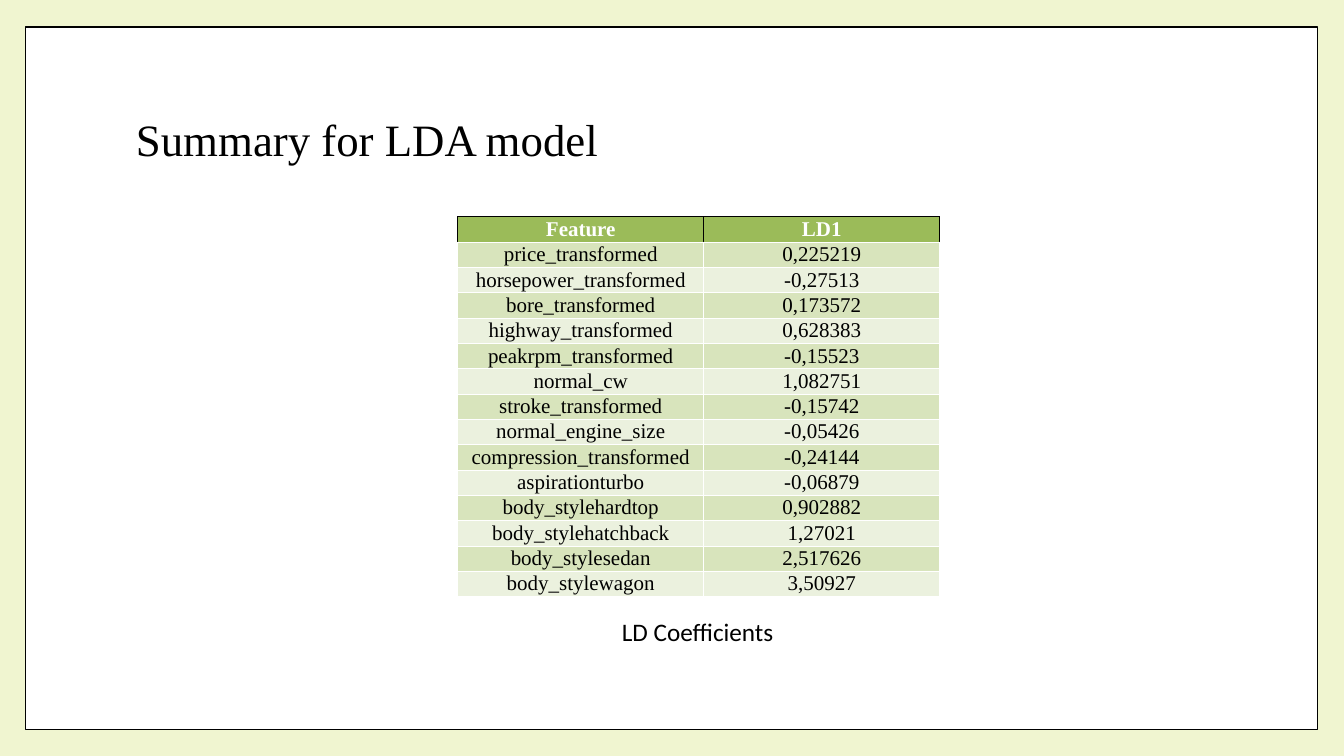
from lxml.etree import SubElement
from pptx import Presentation
from pptx.dml.color import RGBColor
from pptx.enum.shapes import MSO_SHAPE
from pptx.enum.text import MSO_ANCHOR, MSO_AUTO_SIZE, PP_ALIGN
from pptx.oxml.ns import qn
from pptx.util import Inches, Pt

COLORS = {
    "background": "F0F5D0",
    "white": "FFFFFF",
    "black": "000000",
    "header": "9BBB59",
    "odd_row": "D8E4BC",
    "even_row": "EBF1DE",
}
SERIF = "Times New Roman"
SANS = "Calibri"

COEFFICIENTS = [
    ("Feature", "LD1"),
    ("price_transformed", "0,225219"),
    ("horsepower_transformed", "-0,27513"),
    ("bore_transformed", "0,173572"),
    ("highway_transformed", "0,628383"),
    ("peakrpm_transformed", "-0,15523"),
    ("normal_cw", "1,082751"),
    ("stroke_transformed", "-0,15742"),
    ("normal_engine_size", "-0,05426"),
    ("compression_transformed", "-0,24144"),
    ("aspirationturbo", "-0,06879"),
    ("body_stylehardtop", "0,902882"),
    ("body_stylehatchback", "1,27021"),
    ("body_stylesedan", "2,517626"),
    ("body_stylewagon", "3,50927"),
]


def color(name):
    return RGBColor.from_string(COLORS[name])


def add_run(paragraph, text, size, font_name, color_name="black", bold=False):
    run = paragraph.add_run()
    run.text = text
    run.font.size = Pt(size)
    run.font.name = font_name
    run.font.bold = bold
    run.font.color.rgb = color(color_name)


def add_frame(slide):
    frame = slide.shapes.add_shape(
        MSO_SHAPE.RECTANGLE, Inches(0.25), Inches(0.27), Inches(12.82), Inches(6.97))
    frame.shadow.inherit = False
    frame.fill.solid()
    frame.fill.fore_color.rgb = color("white")
    frame.line.color.rgb = color("black")
    frame.line.width = Pt(1)


def add_text(slide, text, left, top, width, height, size, font_name):
    box = slide.shapes.add_textbox(
        Inches(left), Inches(top), Inches(width), Inches(height))
    box.text_frame.word_wrap = True
    add_run(box.text_frame.paragraphs[0], text, size, font_name)
    return box.text_frame


def set_border(cell, side, color_name):
    line = SubElement(cell._tc.get_or_add_tcPr(), qn(f"a:ln{side}"), w=str(Pt(0.5)))
    fill = SubElement(line, qn("a:solidFill"))
    SubElement(fill, qn("a:srgbClr"), val=COLORS[color_name])


def style_cell(cell, text, fill_name, is_header):
    # Borders come before the fill in the cell properties
    for side in "LRTB":
        set_border(cell, side, "black" if is_header and side != "B" else "white")
    cell.fill.solid()
    cell.fill.fore_color.rgb = color(fill_name)
    cell.margin_left = cell.margin_right = cell.margin_top = cell.margin_bottom = 0
    cell.vertical_anchor = MSO_ANCHOR.MIDDLE
    paragraph = cell.text_frame.paragraphs[0]
    paragraph.alignment = PP_ALIGN.CENTER
    add_run(paragraph, text, 15, SERIF, "white" if is_header else "black", is_header)


def add_coefficient_table(slide):
    height = Inches(3.77)
    table = slide.shapes.add_table(
        len(COEFFICIENTS), 2, Inches(4.54), Inches(2.15), Inches(4.78), height).table
    table.horz_banding = False
    table.first_row = False
    for column, width in zip(table.columns, (2.44, 2.34)):
        column.width = Inches(width)
    for row_index, values in enumerate(COEFFICIENTS):
        table.rows[row_index].height = height // len(COEFFICIENTS)
        is_header = row_index == 0
        band = "odd_row" if row_index % 2 else "even_row"
        for column_index, text in enumerate(values):
            style_cell(table.cell(row_index, column_index), text,
                       "header" if is_header else band, is_header)


def main():
    presentation = Presentation()
    presentation.slide_width = Inches(13.33)
    presentation.slide_height = Inches(7.5)
    slide = presentation.slides.add_slide(presentation.slide_layouts[6])

    # Background and frame
    slide.background.fill.solid()
    slide.background.fill.fore_color.rgb = color("background")
    add_frame(slide)

    # Title
    title = add_text(slide, "Summary for LDA model", 1.25, 0.67, 10.8, 1.48, 32, SERIF)
    title.vertical_anchor = MSO_ANCHOR.MIDDLE
    title.paragraphs[0].line_spacing = 0.9

    # Table and its caption
    add_coefficient_table(slide)
    caption = add_text(slide, "LD Coefficients", 6.07, 6.07, 4.44, 0.4, 18, SANS)
    caption.auto_size = MSO_AUTO_SIZE.SHAPE_TO_FIT_TEXT

    presentation.save("out.pptx")


if __name__ == "__main__":
    main()
